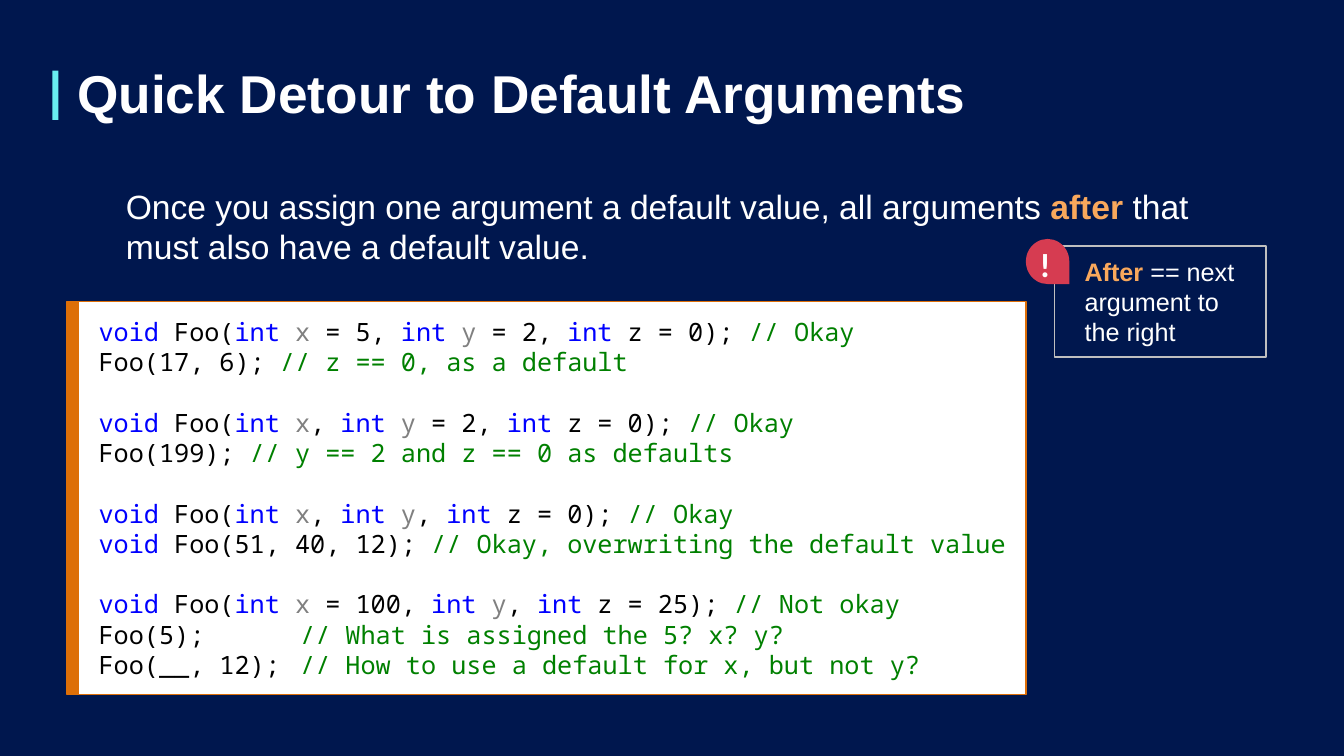
from dataclasses import dataclass
from itertools import groupby

from lxml.etree import SubElement
from pptx import Presentation
from pptx.dml.color import RGBColor as Color
from pptx.enum.shapes import MSO_SHAPE as Shape
from pptx.enum.text import MSO_ANCHOR as Anchor, PP_ALIGN as Align
from pptx.oxml.ns import qn
from pptx.util import Pt


@dataclass(frozen=True)
class Theme:
    navy: str = "00174E"
    white: str = "FFFFFF"
    cyan: str = "69EEF0"
    orange: str = "DD6F08"
    peach: str = "F9A85C"
    red: str = "D63C51"
    grey: str = "BFBFBF"
    code: str = "000000"
    keyword: str = "0000FF"
    parameter: str = "808080"
    comment: str = "008000"
    sans: str = "Arial"
    mono: str = "Noto Sans Mono"
    icon: str = "Calibri"
    title_size: float = 38
    body_size: float = 24
    small_size: float = 18


THEME = Theme()
WORD_COLORS = {
    "void": THEME.keyword,
    "int": THEME.keyword,
    "x": THEME.parameter,
    "y": THEME.parameter,
}
CODE_GROUPS = [
    ["void Foo(int x = 5, int y = 2, int z = 0); // Okay",
     "Foo(17, 6); // z == 0, as a default"],
    ["void Foo(int x, int y = 2, int z = 0); // Okay",
     "Foo(199); // y == 2 and z == 0 as defaults"],
    ["void Foo(int x, int y, int z = 0); // Okay",
     "void Foo(51, 40, 12); // Okay, overwriting the default value"],
    ["void Foo(int x = 100, int y, int z = 25); // Not okay",
     "Foo(5);\t// What is assigned the 5? x? y?",
     "Foo(__, 12);\t// How to use a default for x, but not y?"],
]
CODE_LINE_HEIGHT = 21.6
COMMENT_TAB = 144


def add_block(page, box, kind=Shape.RECTANGLE, fill=None, line=None):
    block = page.shapes.add_shape(kind, *map(Pt, box))
    block.shadow.inherit = False
    if fill:
        block.fill.solid()
        block.fill.fore_color.rgb = Color.from_string(fill)
    else:
        block.fill.background()
    if line:
        block.line.color.rgb = Color.from_string(line)
        block.line.width = Pt(1)
    else:
        block.line.fill.background()
    return block


def add_textbox(page, box):
    return page.shapes.add_textbox(*map(Pt, box))


def write_text(shape, paragraphs, *, font, size, gaps=(), insets=(7.2, 3.6, 7.2, 3.6),
               align=Align.LEFT, spacing=None, tab=None):
    frame = shape.text_frame
    frame.word_wrap = True
    frame.vertical_anchor = Anchor.MIDDLE
    (frame.margin_left, frame.margin_top,
     frame.margin_right, frame.margin_bottom) = map(Pt, insets)
    for index, spans in enumerate(paragraphs):
        para = frame.add_paragraph() if index else frame.paragraphs[0]
        para.alignment = align
        if spacing:
            para.line_spacing = spacing
        if index in gaps:
            para.space_before = Pt(gaps[index])
        if tab:
            stops = SubElement(para._p.get_or_add_pPr(), qn("a:tabLst"))
            SubElement(stops, qn("a:tab"), pos=str(Pt(tab)), algn="l")
        for text, color, bold in spans:
            span = para.add_run()
            span.text = text
            span.font.name = font
            span.font.size = Pt(size)
            span.font.bold = bold
            span.font.color.rgb = Color.from_string(color)


def color_code(line):
    code, slashes, remark = line.partition("//")
    words = ["".join(letters) for _, letters in groupby(code, str.isalnum)]
    spans = [("".join(group), color, False) for color, group in
             groupby(words, lambda word: WORD_COLORS.get(word, THEME.code))]
    return spans + [(slashes + remark, THEME.comment, False)]


def add_title(page, box, text):
    left, top, width, height = box
    add_block(page, (left, top + 6.5, 4.3, 35.3), fill=THEME.cyan)
    write_text(add_textbox(page, (left + 10.8, top, width - 10.8, height)),
               [[(text, THEME.white, True)]],
               font=THEME.sans, size=THEME.title_size, spacing=0.9)


def add_statement(page, box):
    write_text(add_textbox(page, box), [[
        ("Once you assign one argument a default value, all arguments ", THEME.white, False),
        ("after", THEME.peach, True),
        (" that must also have a default value.", THEME.white, False),
    ]], font=THEME.sans, size=THEME.body_size)


def add_code_panel(page, box, groups):
    left, top, width, height = box
    bar = 8
    panel = add_block(page, (left + bar, top, width - bar, height),
                      fill=THEME.white, line=THEME.orange)
    lines, gaps = [], {}
    for group in groups:
        if lines:
            gaps[len(lines)] = CODE_LINE_HEIGHT
        lines += map(color_code, group)
    write_text(panel, lines, font=THEME.mono, size=THEME.small_size, gaps=gaps,
               insets=(14.4, 14.4, 10, 14.4), tab=COMMENT_TAB)
    add_block(page, (left, top, bar, height), fill=THEME.orange, line=THEME.orange)


def add_callout(page, box):
    left, top, width, height = box
    note = add_block(page, box, line=THEME.grey)
    write_text(note, [[
        ("After", THEME.peach, True),
        (" == next argument to the right", THEME.white, False),
    ]], font=THEME.sans, size=THEME.small_size, insets=(21.6, 3.6, 7.2, 3.6))
    badge = add_block(page, (left - 20.9, top - 4.5, 32.2, 31),
                      kind=Shape.TEAR, fill=THEME.red)
    badge.rotation = 90
    write_text(add_textbox(page, (left - 17.3, top - 13, 21.6, 51)),
               [[("!", THEME.white, True)]], font=THEME.icon, size=THEME.body_size,
               insets=(0, 0, 0, 0), align=Align.CENTER)


def main():
    deck = Presentation()
    deck.slide_width, deck.slide_height = Pt(960), Pt(540)
    page = deck.slides.add_slide(deck.slide_layouts[6])
    page.background.fill.solid()
    page.background.fill.fore_color.rgb = Color.from_string(THEME.navy)
    add_title(page, (37.4, 43.9, 867.6, 49), "Quick Detour to Default Arguments")
    add_statement(page, (82.8, 128.9, 822.2, 65.5))
    add_code_panel(page, (48, 215.3, 684.8, 280.8), CODE_GROUPS)
    add_callout(page, (753.1, 175.8, 151.2, 79.2))
    deck.save("out.pptx")


if __name__ == "__main__":
    main()
